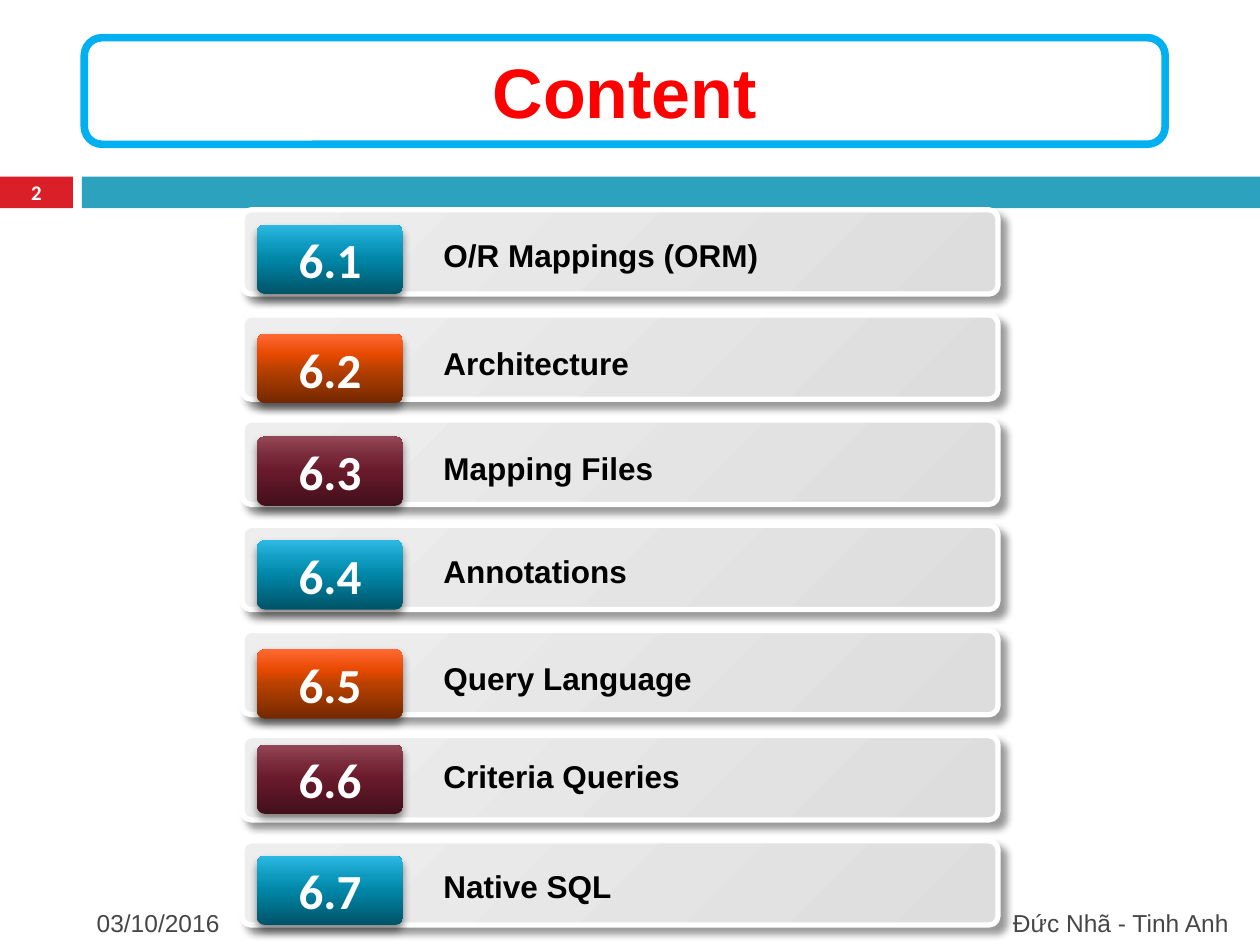
from pptx import Presentation
from pptx.dml.color import RGBColor
from pptx.enum.shapes import MSO_SHAPE
from pptx.enum.text import MSO_ANCHOR, PP_ALIGN
from pptx.oxml.ns import qn
from pptx.util import Cm, Pt
from lxml.etree import SubElement

HUES = {
    "red": "DA1F28", "teal": "2DA2BF", "sky": "00B0F0", "title": "FF0000",
    "white": "FFFFFF", "black": "000000", "grey": "464646",
}
# Gradient stops: position in percent, colour
FADES = {
    "bar": [(0, "EEEEEE"), (100, "DDDDDD")],
    "blue": [(0, "005367"), (50, "0086A7"), (70, "0E9ABE"), (100, "2CB9E3")],
    "orange": [(0, "732800"), (50, "B94100"), (70, "E64900"), (100, "FF6933")],
    "wine": [(0, "420F1A"), (50, "681A2B"), (70, "772939"), (100, "944755")],
}
CYCLE = ["blue", "orange", "wine"]
# Topic, badge drop and label drop within its row, in cm
TOPICS = [
    ("O/R Mappings (ORM)", 0.3, 0.41),
    ("Architecture", 0.38, 0.46),
    ("Mapping Files", 0.33, 0.46),
    ("Annotations", 0.3, 0.41),
    ("Query Language", 0.38, 0.46),
    ("Criteria Queries", 0.18, 0.3),
    ("Native SQL", 0.3, 0.41),
]


def color(name):
    return RGBColor.from_string(HUES[name])


def write(shape, text, size, hue, font="Arial", bold=True,
          align=PP_ALIGN.LEFT, anchor=MSO_ANCHOR.MIDDLE, wrap=True):
    frame = shape.text_frame
    frame.word_wrap = wrap
    frame.vertical_anchor = anchor
    para = frame.paragraphs[0]
    para.text = text
    para.alignment = align
    para.font.name = font
    para.font.size = Pt(size)
    para.font.bold = bold
    para.font.color.rgb = color(hue)


def add_text(slide, box, text, size, hue, **style):
    label = slide.shapes.add_textbox(*map(Cm, box))
    write(label, text, size, hue, **style)


def add_box(slide, kind, box, fill=None, line=None, width=0):
    shape = slide.shapes.add_shape(kind, *map(Cm, box))
    shape.shadow.inherit = False
    if fill:
        shape.fill.solid()
        shape.fill.fore_color.rgb = color(fill)
    else:
        shape.fill.background()
    if line:
        shape.line.color.rgb = color(line)
        shape.line.width = Pt(width)
    else:
        shape.line.fill.background()
    return shape


def add_hue(parent, tag, rgb, **attrs):
    node = SubElement(parent, qn(tag), **attrs)
    return SubElement(node, qn("a:srgbClr"), val=rgb)


def set_fade(shape, stops, angle):
    shape.fill.gradient()
    shape.fill.gradient_angle = angle
    group = shape.element.spPr.find(".//" + qn("a:gsLst"))
    group.clear()
    for place, rgb in stops:
        add_hue(group, "a:gs", rgb, pos=str(place * 1000))


def set_shadow(shape, alpha, blur, dist, angle):
    effects = shape.element.spPr.find(qn("a:effectLst"))
    tint = add_hue(effects, "a:outerShdw", HUES["black"],
                   blurRad=str(Pt(blur)), dist=str(Pt(dist)),
                   dir=str(angle * 60000), algn="ctr", rotWithShape="0")
    SubElement(tint, qn("a:alpha"), val=str(alpha * 1000))


def add_band(slide, left, top, width, height):
    """Coloured strip with the slide number at its left end."""
    tab, gap = 1.47, 0.18
    add_box(slide, MSO_SHAPE.RECTANGLE, (left, top, tab, height), "red")
    start = tab + gap
    add_box(slide, MSO_SHAPE.RECTANGLE,
            (left + start, top, width - start, height), "teal")
    add_text(slide, (left, top, tab, height), "2", 11.9, "white",
             font="Calibri", align=PP_ALIGN.CENTER)


def add_title(slide, box):
    frame = add_box(slide, MSO_SHAPE.ROUNDED_RECTANGLE, box,
                    line="sky", width=4.33)
    write(frame, "Content", 40, "title", align=PP_ALIGN.CENTER)


def add_row(slide, box, number, topic, fade, drop, sink):
    """Grey bar with a numbered badge and a topic."""
    left, top, width, height = box
    bar = add_box(slide, MSO_SHAPE.ROUNDED_RECTANGLE, box,
                  line="white", width=3)
    bar.adjustments[0] = 0.11
    set_fade(bar, FADES["bar"], 315)
    set_shadow(bar, 40, 4, 5, 45)

    badge = add_box(slide, MSO_SHAPE.ROUNDED_RECTANGLE,
                    (left + 0.3, top + drop, 2.95, 1.4))
    badge.adjustments[0] = 0.12
    set_fade(badge, FADES[fade], 90)
    set_shadow(badge, 45, 5, 3, 90)
    write(badge, number, 28, "white", font="Calibri",
          align=PP_ALIGN.CENTER, wrap=False)

    add_text(slide, (left + 3.81, top + sink, width - 4.06, 1.02),
             topic, 18, "black", anchor=MSO_ANCHOR.TOP)


def add_list(slide, left, top, width, pitch):
    for i, (topic, drop, sink) in enumerate(TOPICS):
        box = (left, top + i * pitch, width, 1.7)
        add_row(slide, box, f"6.{i + 1}", topic,
                CYCLE[i % len(CYCLE)], drop, sink)


def add_footer(slide, left, top, width, height):
    add_text(slide, (left, top, 7.42, height), "03/10/2016", 14, "grey",
             bold=False)
    span = 15.06
    add_text(slide, (left + width - span, top, span, height),
             "Đức Nhã - Tinh Anh", 14, "grey", bold=False,
             align=PP_ALIGN.RIGHT)


def main():
    deck = Presentation()
    deck.slide_width, deck.slide_height = Cm(25.4), Cm(19.05)
    slide = deck.slides.add_slide(deck.slide_layouts[6])
    add_band(slide, 0, 3.56, 25.4, 0.64)
    add_footer(slide, 1.7, 18.34, 23.32, 0.51)
    add_list(slide, 4.88, 4.23, 15.24, 2.12)
    add_title(slide, (1.7, 0.76, 21.79, 2.15))
    deck.save("out.pptx")


if __name__ == "__main__":
    main()
